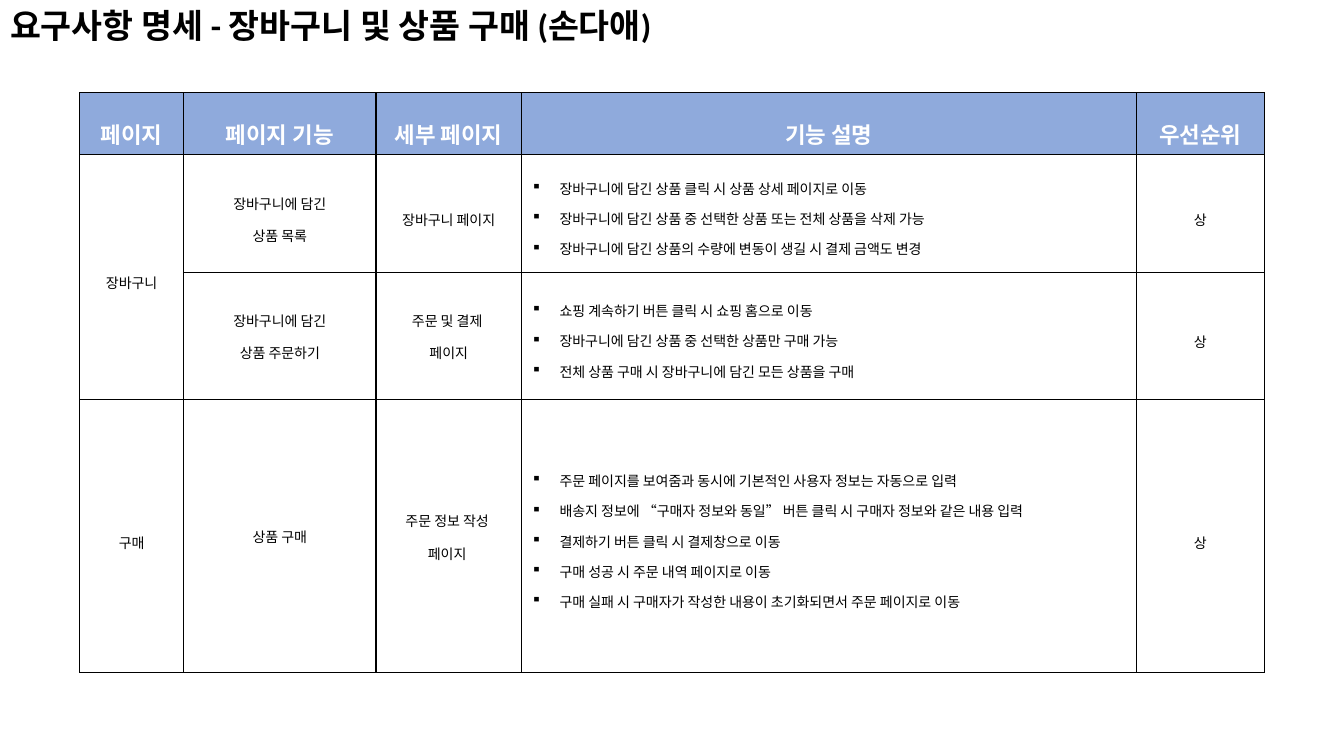
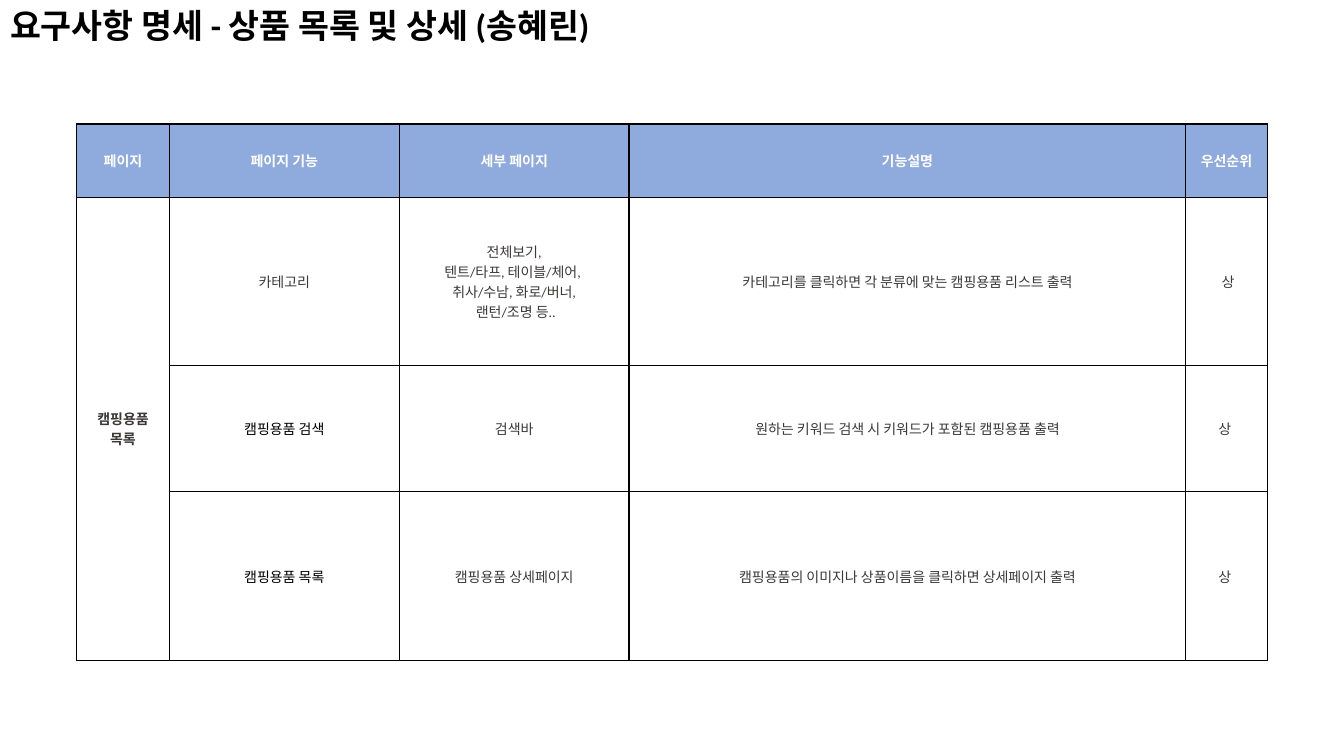
from dataclasses import dataclass
from typing import Optional

from lxml import etree
from pptx import Presentation
from pptx.dml.color import RGBColor
from pptx.enum.text import MSO_ANCHOR, MSO_AUTO_SIZE, PP_ALIGN
from pptx.oxml.ns import qn
from pptx.util import Inches, Pt

LEFT, CENTER = PP_ALIGN.LEFT, PP_ALIGN.CENTER
TOP, MIDDLE = MSO_ANCHOR.TOP, MSO_ANCHOR.MIDDLE
NO_AUTO_SIZE = MSO_AUTO_SIZE.NONE

FONT = "Calibri"
BLACK, WHITE, GRAY, BLUE = "000000", "FFFFFF", "3B3838", "8FAADC"
TITLE_ONLY_LAYOUT = 5
BULLET_INDENT = Inches(0.28)


@dataclass(frozen=True)
class TextStyle:
    color: str = BLACK
    size: float = 10
    bold: bool = False
    line_spacing: float = 1.0
    space_after: float = 0
    bullet: str = ""


@dataclass(frozen=True)
class Cell:
    lines: tuple[str, ...]
    style: TextStyle
    fill: str = WHITE
    row_span: int = 1


@dataclass(frozen=True)
class TableSpec:
    left: float
    top: float
    columns: tuple[float, ...]
    rows: tuple[float, ...]
    margins: tuple[float, float]
    cells: list[list[Optional[Cell]]]


@dataclass(frozen=True)
class SlideSpec:
    title: str
    title_width: float
    table: TableSpec


TITLE = TextStyle(size=24, bold=True)
LARGE_HEADER = TextStyle(WHITE, size=16, bold=True, line_spacing=1.6)
SMALL_HEADER = TextStyle(WHITE, bold=True)
OPEN = TextStyle(line_spacing=1.6)
SPACED = TextStyle(line_spacing=1.07, space_after=8)
BULLETED = TextStyle(line_spacing=1.5, bullet="▪")
PLAIN = TextStyle()
MUTED = TextStyle(GRAY)
MUTED_BOLD = TextStyle(GRAY, bold=True)


def cell(style: TextStyle, *lines: str, row_span: int = 1) -> Cell:
    return Cell(lines, style, row_span=row_span)


def header(style: TextStyle, *labels: str) -> list[Optional[Cell]]:
    return [Cell((label,), style, BLUE) for label in labels]


SLIDES = [
    SlideSpec(
        "요구사항 명세 - 장바구니 및 상품 구매 (손다애)",
        7.78,
        TableSpec(
            0.79,
            0.92,
            (1.03, 1.91, 1.44, 6.1, 1.27),
            (0.53, 1.17, 1.26, 2.71),
            (0.1, 0.05),
            [
                header(LARGE_HEADER, "페이지", "페이지 기능", "세부 페이지",
                       "기능 설명", "우선순위"),
                [
                    cell(OPEN, "장바구니", row_span=2),
                    cell(OPEN, "장바구니에 담긴", "상품 목록"),
                    cell(OPEN, "장바구니 페이지"),
                    cell(
                        BULLETED,
                        "장바구니에 담긴 상품 클릭 시 상품 상세 페이지로 이동",
                        "장바구니에 담긴 상품 중 선택한 상품 또는 전체 상품을 삭제 가능",
                        "장바구니에 담긴 상품의 수량에 변동이 생길 시 결제 금액도 변경",
                    ),
                    cell(OPEN, "상"),
                ],
                [
                    None,
                    cell(SPACED, "장바구니에 담긴", "상품 주문하기"),
                    cell(SPACED, "주문 및 결제 ", "페이지"),
                    cell(
                        BULLETED,
                        "쇼핑 계속하기 버튼 클릭 시 쇼핑 홈으로 이동",
                        "장바구니에 담긴 상품 중 선택한 상품만 구매 가능",
                        "전체 상품 구매 시 장바구니에 담긴 모든 상품을 구매",
                    ),
                    cell(OPEN, "상"),
                ],
                [
                    cell(OPEN, "구매"),
                    cell(SPACED, "상품 구매"),
                    cell(SPACED, "주문 정보 작성 ", "페이지 "),
                    cell(
                        BULLETED,
                        "주문 페이지를 보여줌과 동시에 기본적인 사용자 정보는 자동으로 입력",
                        "배송지 정보에 “구매자 정보와 동일” 버튼 클릭 시 구매자 정보와 같은 내용 입력",
                        "결제하기 버튼 클릭 시 결제창으로 이동",
                        "구매 성공 시 주문 내역 페이지로 이동",
                        "구매 실패 시 구매자가 작성한 내용이 초기화되면서 주문 페이지로 이동",
                    ),
                    cell(OPEN, "상"),
                ],
            ],
        ),
    ),
    SlideSpec(
        "요구사항 명세 - 상품 목록 및 상세 (송혜린)",
        8.64,
        TableSpec(
            0.76,
            1.23,
            (0.92, 2.28, 2.28, 5.52, 0.81),
            (0.73, 1.67, 1.25, 1.67),
            (0.05, 0),
            [
                header(SMALL_HEADER, "페이지", "페이지 기능", "세부 페이지",
                       "기능설명", "우선순위"),
                [
                    cell(MUTED_BOLD, "캠핑용품", "목록", row_span=3),
                    cell(MUTED, "카테고리"),
                    cell(MUTED, "전체보기,", "텐트/타프, 테이블/체어, ",
                         "취사/수남, 화로/버너,", " 랜턴/조명 등.."),
                    cell(MUTED, "카테고리를 클릭하면 각 분류에 맞는 캠핑용품 리스트 출력"),
                    cell(MUTED, " 상"),
                ],
                [
                    None,
                    cell(PLAIN, "캠핑용품 검색"),
                    cell(MUTED, "검색바"),
                    cell(MUTED, "원하는 키워드 검색 시 키워드가 포함된 캠핑용품 출력"),
                    cell(MUTED, "상 "),
                ],
                [
                    None,
                    cell(PLAIN, "캠핑용품 목록"),
                    cell(MUTED, "캠핑용품 상세페이지"),
                    cell(MUTED, "캠핑용품의 이미지나 상품이름을 클릭하면 상세페이지 출력"),
                    cell(MUTED, "상 "),
                ],
            ],
        ),
    ),
]


def rgb(color: str) -> RGBColor:
    return RGBColor.from_string(color)


def add_bullet(paragraph, character: str) -> None:
    properties = paragraph._p.get_or_add_pPr()
    properties.set("marL", str(BULLET_INDENT))
    properties.set("indent", str(-BULLET_INDENT))
    etree.SubElement(properties, qn("a:buChar")).set("char", character)


def write_lines(text_frame, lines: tuple[str, ...], style: TextStyle, alignment) -> None:
    for index, line in enumerate(lines):
        paragraph = text_frame.add_paragraph() if index else text_frame.paragraphs[0]
        if style.bullet:
            add_bullet(paragraph, style.bullet)
        paragraph.alignment = alignment
        paragraph.line_spacing = style.line_spacing
        paragraph.space_after = Pt(style.space_after)
        run = paragraph.add_run()
        run.text = line
        run.font.name = FONT
        run.font.size = Pt(style.size)
        run.font.bold = style.bold
        run.font.color.rgb = rgb(style.color)


def add_borders(table_cell) -> None:
    """Draw a thin black line on all four sides; call before filling the cell."""
    properties = table_cell._tc.get_or_add_tcPr()
    for side in ("lnL", "lnR", "lnT", "lnB"):
        line = etree.SubElement(properties, qn(f"a:{side}"), w=str(Pt(1)))
        fill = etree.SubElement(line, qn("a:solidFill"))
        etree.SubElement(fill, qn("a:srgbClr"), val=BLACK)


def add_title(slide, text: str, width: float) -> None:
    title = slide.shapes.title
    title.left, title.top = Inches(0), Inches(0)
    title.width, title.height = Inches(width), Inches(0.5)
    text_frame = title.text_frame
    text_frame.auto_size = NO_AUTO_SIZE
    text_frame.word_wrap = True
    text_frame.vertical_anchor = TOP
    write_lines(text_frame, (text,), TITLE, LEFT)


def add_requirements_table(slide, spec: TableSpec) -> None:
    table = slide.shapes.add_table(
        len(spec.rows), len(spec.columns), Inches(spec.left), Inches(spec.top),
        Inches(sum(spec.columns)), Inches(sum(spec.rows)),
    ).table
    table.horz_banding = False
    for column, width in zip(table.columns, spec.columns):
        column.width = Inches(width)
    for row, height in zip(table.rows, spec.rows):
        row.height = Inches(height)
    horizontal, vertical = (Inches(margin) for margin in spec.margins)
    for row_index, row_cells in enumerate(spec.cells):
        for column_index, content in enumerate(row_cells):
            table_cell = table.cell(row_index, column_index)
            add_borders(table_cell)
            table_cell.fill.solid()
            table_cell.fill.fore_color.rgb = rgb(content.fill if content else WHITE)
            if content is None:
                continue
            table_cell.margin_left = table_cell.margin_right = horizontal
            table_cell.margin_top = table_cell.margin_bottom = vertical
            table_cell.vertical_anchor = MIDDLE
            alignment = LEFT if content.style.bullet else CENTER
            write_lines(table_cell.text_frame, content.lines, content.style, alignment)
            if content.row_span > 1:
                last_row = row_index + content.row_span - 1
                table_cell.merge(table.cell(last_row, column_index))


def main() -> None:
    presentation = Presentation()
    presentation.slide_width, presentation.slide_height = Inches(13.33), Inches(7.5)
    layout = presentation.slide_layouts[TITLE_ONLY_LAYOUT]
    for spec in SLIDES:
        slide = presentation.slides.add_slide(layout)
        add_title(slide, spec.title, spec.title_width)
        add_requirements_table(slide, spec.table)
    presentation.save("out.pptx")


if __name__ == "__main__":
    main()
